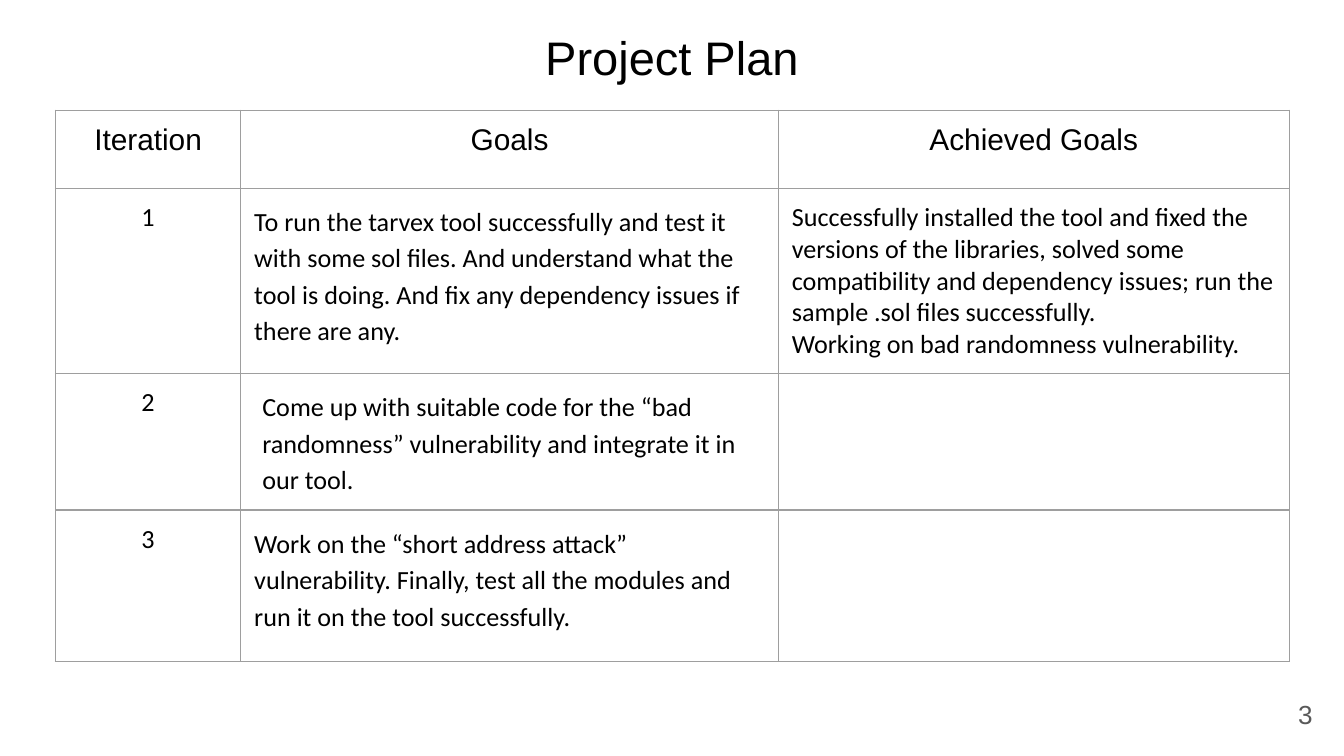
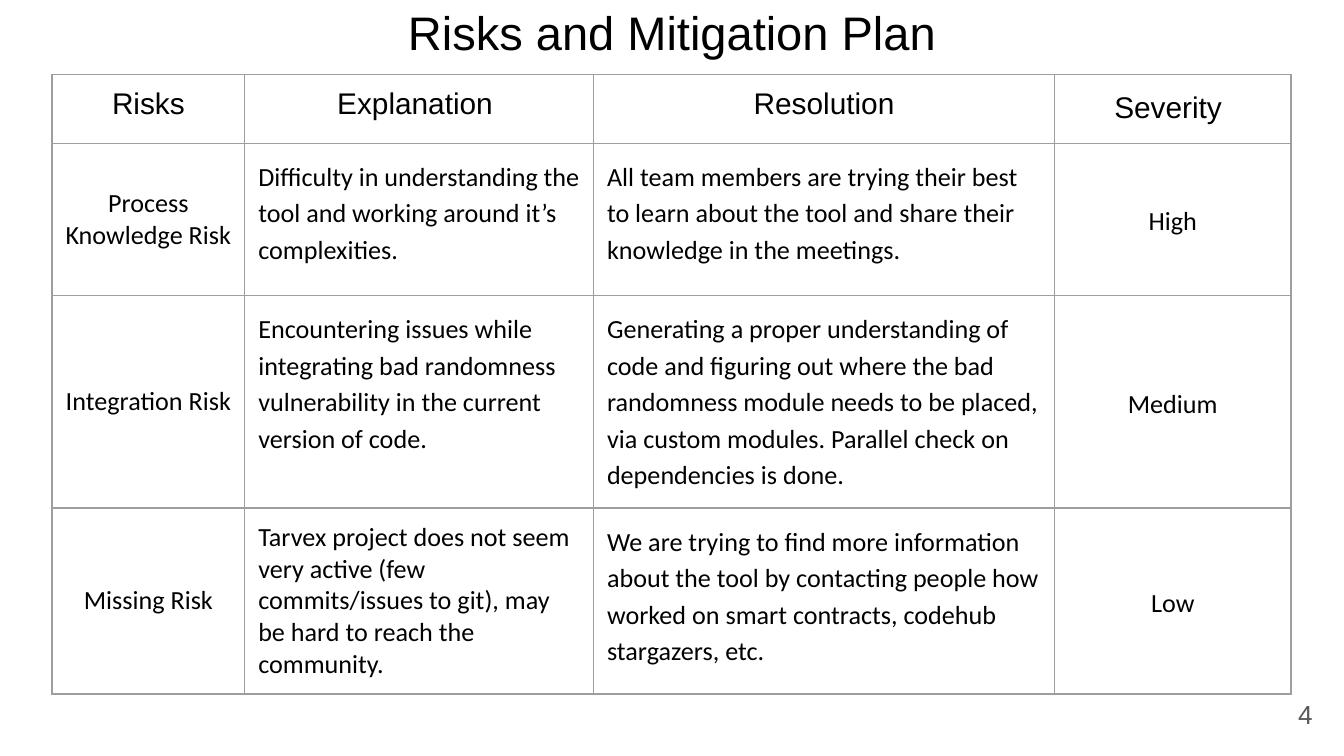
from dataclasses import dataclass

from lxml import etree
from pptx import Presentation
from pptx import util as u
from pptx.dml.color import RGBColor
from pptx.enum import text
from pptx.oxml.ns import qn

BLACK = RGBColor(0x00, 0x00, 0x00)
GRAY = RGBColor(0x59, 0x59, 0x59)
BORDER = RGBColor(0x9E, 0x9E, 0x9E)
HEADING_FONT, BODY_FONT = "Arial", "Calibri"
UNIT = u.Inches(0.1)
COLUMNS, ROWS = 100, 56.25
INSET = u.Inches(0.1)
CENTER, LEFT, RIGHT = text.PP_ALIGN.CENTER, text.PP_ALIGN.LEFT, text.PP_ALIGN.RIGHT
TOP, MIDDLE = text.MSO_ANCHOR.TOP, text.MSO_ANCHOR.MIDDLE


@dataclass(frozen=True)
class CellStyle:
    """Look of the text in one table cell."""
    font: str = BODY_FONT
    size: float = 14
    align: text.PP_ALIGN = LEFT
    anchor: text.MSO_ANCHOR = TOP
    spaced: bool = False
    indent: float = 0


HEADER = CellStyle(HEADING_FONT, 16, CENTER)
NUMBER = CellStyle(align=CENTER)
RISK = CellStyle(align=CENTER, anchor=MIDDLE)
SEVERITY = CellStyle(align=CENTER, anchor=MIDDLE, spaced=True)
PLAIN = CellStyle()
SPACED = CellStyle(spaced=True)
INDENTED = CellStyle(spaced=True, indent=0.6)


def grid(count):
    """Turn a count of grid units into a length."""
    return u.Emu(round(count * UNIT))


def set_font(font, name, size, color):
    """Set the face, size and colour of a font."""
    font.name, font.size = name, u.Pt(size)
    font.color.rgb = color


def add_label(slide, box, content, size, color, align, anchor=TOP):
    """Add one line of heading text in a box of grid units."""
    frame = slide.shapes.add_textbox(*map(grid, box)).text_frame
    frame.word_wrap = True
    frame.vertical_anchor = anchor
    frame.margin_left = frame.margin_right = INSET
    frame.margin_top = frame.margin_bottom = INSET
    paragraph = frame.paragraphs[0]
    paragraph.text = content
    paragraph.alignment = align
    set_font(paragraph.font, HEADING_FONT, size, color)


def add_borders(cell):
    """Draw the thin gray border on all four sides of a cell."""
    properties = cell._tc.get_or_add_tcPr()
    for position, side in enumerate(("lnL", "lnR", "lnT", "lnB")):
        line = etree.Element(qn(f"a:{side}"), w=str(u.Pt(0.75)))
        fill = etree.SubElement(line, qn("a:solidFill"))
        etree.SubElement(fill, qn("a:srgbClr"), val=str(BORDER))
        properties.insert(position, line)


def fill_cell(cell, content, style):
    """Write the content into a cell in the given style."""
    cell.fill.background()
    add_borders(cell)
    cell.margin_left = cell.margin_right = INSET
    cell.margin_top = cell.margin_bottom = INSET
    cell.vertical_anchor = style.anchor
    cell.text_frame.text = content
    for paragraph in cell.text_frame.paragraphs:
        paragraph.alignment = style.align
        set_font(paragraph.font, style.font, style.size, BLACK)
        if style.spaced:
            paragraph.line_spacing = 1.15
            paragraph.space_after = u.Pt(12)
        if style.indent:
            properties = paragraph._p.get_or_add_pPr()
            properties.set("marL", str(grid(style.indent)))
            properties.set("indent", "0")


def add_plan_table(slide, corner, widths, heights, headers, body):
    """Add a bordered table with a header row and return it."""
    rows = [[(header, HEADER) for header in headers], *body]
    frame = slide.shapes.add_table(
        len(heights), len(widths), *map(grid, (*corner, sum(widths), sum(heights))))
    table = frame.table
    table.first_row = table.horz_banding = False
    for column, width in zip(table.columns, widths):
        column.width = grid(width)
    for row, height, entries in zip(table.rows, heights, rows):
        row.height = grid(height)
        for cell, (content, style) in zip(row.cells, entries):
            fill_cell(cell, content, style)
    return table


def add_plan_slide(presentation, title, title_top, number):
    """Add a blank slide with its title and page number."""
    slide = presentation.slides.add_slide(presentation.slide_layouts[6])
    add_label(slide, (3.4, title_top, COLUMNS - 6.8, 6.3), title, 25.2, BLACK, CENTER)
    add_label(slide, (92.65, 51, 6, 4.3), str(number), 14, GRAY, RIGHT, MIDDLE)
    return slide


def build_project_plan(presentation):
    """Build the slide with goals for each iteration."""
    slide = add_plan_slide(presentation, "Project Plan", 1.1, 3)
    goals = [
        (("To run the tarvex tool successfully and test it with some sol files. "
          "And understand what the tool is doing. "
          "And fix any dependency issues if there are any.", SPACED),
         ("Successfully installed the tool and fixed the versions of the libraries, "
          "solved some compatibility and dependency issues; "
          "run the sample .sol files successfully.\n"
          "Working on bad randomness vulnerability.", PLAIN)),
        (("Come up with suitable code for the “bad randomness” vulnerability "
          "and integrate it in our tool.", INDENTED), ("", PLAIN)),
        (("Work on the “short address attack” vulnerability. Finally, test all "
          "the modules and run it on the tool successfully.", SPACED), ("", PLAIN)),
    ]
    body = [((str(number), NUMBER), *pair) for number, pair in enumerate(goals, 1)]
    add_plan_table(slide, (4.12, 8.2), (13.8, 40, 38), (5.8, 13.8, 10.15, 11.3),
                   ("Iteration", "Goals", "Achieved Goals"), body)


def build_risk_plan(presentation):
    """Build the slide with risks, resolutions and severity."""
    slide = add_plan_slide(presentation, "Risks and Mitigation Plan", -0.75, 4)
    risks = [
        ("Process Knowledge Risk",
         "Difficulty in understanding the tool and working around it’s complexities.",
         "All team members are trying their best to learn about the tool "
         "and share their knowledge in the meetings.", "High"),
        ("Integration Risk",
         "Encountering issues while integrating bad randomness vulnerability "
         "in the current version of code.",
         "Generating a proper understanding of code and figuring out where the bad "
         "randomness module needs to be placed, via custom modules. "
         "Parallel check on dependencies is done.", "Medium"),
        ("Missing Risk",
         "Tarvex project does not seem very active (few commits/issues to git), "
         "may be hard to reach the community.",
         "We are trying to find more information about the tool by contacting people "
         "how worked on smart contracts, codehub stargazers, etc.", "Low"),
    ]
    explanation_styles = (SPACED, SPACED, PLAIN)
    body = [tuple(zip(risk, (RISK, explanation, SPACED, SEVERITY)))
            for risk, explanation in zip(risks, explanation_styles)]
    table = add_plan_table(slide, (3.87, 5.55), (14.35, 25.95, 34.3, 17.6),
                           (5.1, 11.35, 15.8, 13.85),
                           ("Risks", "Explanation ", "Resolution", "Severity"), body)
    space = table.cell(0, 3).text_frame.paragraphs[0].add_run()
    space.text = " "
    space.font.size = u.Pt(18)


def main():
    """Build and save the presentation."""
    presentation = Presentation()
    presentation.slide_width, presentation.slide_height = grid(COLUMNS), grid(ROWS)
    build_project_plan(presentation)
    build_risk_plan(presentation)
    presentation.save("out.pptx")


if __name__ == "__main__":
    main()
